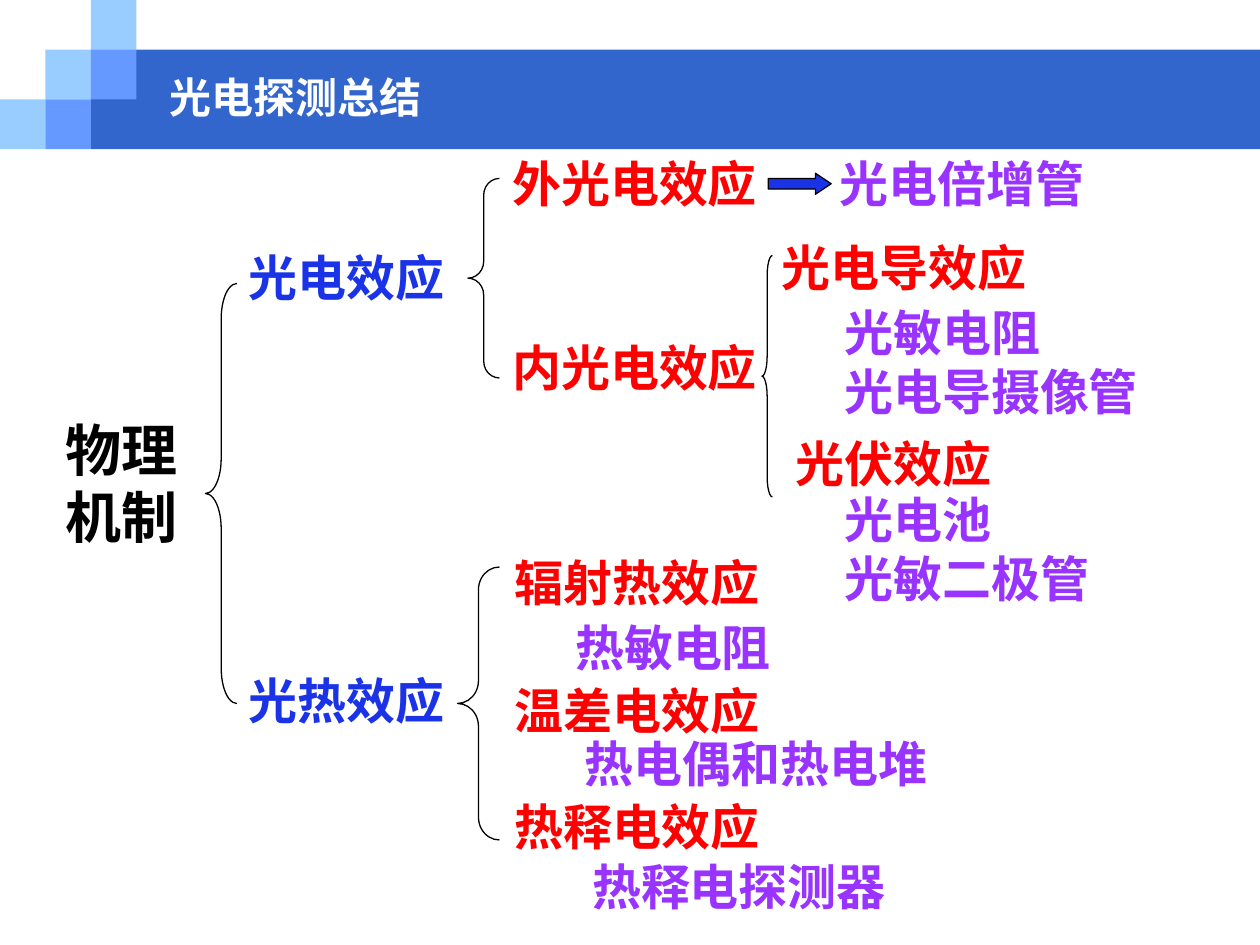
from pptx import Presentation
from pptx import util as u
from pptx.dml.color import RGBColor
from pptx.enum import shapes, text

WHITE, BLACK, BLUE, RED, PLUM = "FFFFFF", "000000", "1B33E7", "FF0000", "9933FF"
BAND, PALE, MID = "3366CC", "99CCFF", "6699FF"
KIND = shapes.MSO_SHAPE
LEFT, MIDST = text.PP_ALIGN.LEFT, text.PP_ALIGN.CENTER


def tint(code):
    return RGBColor.from_string(code)


class Board:
    """Holds the text style and the current slide, and draws each kind of element."""

    font = "Arial"
    size = 28
    inset = 14.4
    pen = 0.75

    def __init__(self, slide):
        self.slide = slide

    def shape(self, kind, x, y, w, h, fill=None, line=None, adj=()):
        item = self.slide.shapes.add_shape(kind, u.Pt(x), u.Pt(y), u.Pt(w), u.Pt(h))
        item.shadow.inherit = False
        for i, part in enumerate(adj):
            item.adjustments[i] = part
        if fill:
            item.fill.solid()
            item.fill.fore_color.rgb = tint(fill)
        else:
            item.fill.background()
        if line:
            item.line.color.rgb = tint(line)
            item.line.width = u.Pt(self.pen)
        else:
            item.line.fill.background()

    def brace(self, x, y, w, h, bend):
        self.shape(KIND.LEFT_BRACE, x, y, w, h, line=BLACK, adj=(bend, 0.5))

    def label(self, x, y, lines, color, size=None, align=MIDST):
        size = size or self.size
        wide = max(map(len, lines)) * size + self.inset
        high = len(lines) * size * 1.2 + 7.2
        box = self.slide.shapes.add_textbox(u.Pt(x), u.Pt(y), u.Pt(wide), u.Pt(high))
        frame = box.text_frame
        frame.word_wrap = False
        frame.auto_size = text.MSO_AUTO_SIZE.SHAPE_TO_FIT_TEXT
        for i, line in enumerate(lines):
            para = frame.add_paragraph() if i else frame.paragraphs[0]
            para.alignment = align
            self.run(para, line, color, size)

    def title(self, x, y, w, h, words):
        box = self.slide.shapes.add_textbox(u.Pt(x), u.Pt(y), u.Pt(w), u.Pt(h))
        frame = box.text_frame
        frame.word_wrap = True
        frame.vertical_anchor = text.MSO_ANCHOR.MIDDLE
        self.run(frame.paragraphs[0], words, WHITE, 24)

    def run(self, para, words, color, size):
        run = para.add_run()
        run.text = words
        run.font.name = self.font
        run.font.size = u.Pt(size)
        run.font.bold = True
        run.font.color.rgb = tint(color)


def main():
    deck = Presentation()
    deck.slide_width, deck.slide_height = u.Pt(720), u.Pt(540)
    board = Board(deck.slides.add_slide(deck.slide_layouts[6]))

    wide, high = 26, 28.4
    board.shape(KIND.RECTANGLE, 2 * wide, high, 720 - 2 * wide, 2 * high, BAND)
    tiles = [(0, 2, PALE), (1, 1, PALE), (2, 0, PALE), (2, 1, MID), (1, 2, MID)]
    for col, row, color in tiles:
        board.shape(KIND.RECTANGLE, col * wide, row * high, wide, high, color)
    board.title(90, 36, 582, 38, "光电探测总结")

    braces = [
        (117.4, 162, 18, 240, 1.11),
        (267.4, 102, 18, 114, 0.53),
        (435.4, 146, 6, 138, 1.92),
        (261.4, 324, 24, 156, 0.54),
    ]
    for spot in braces:
        board.brace(*spot)
    board.shape(KIND.RIGHT_ARROW, 439, 99, 36, 12, BLUE, BLACK, (0.5, 0.75))

    board.label(30.4, 234, ["物理", "机制"], BLACK, 32)
    labels = [
        (134.8, 138, "光电效应", BLUE),
        (134.8, 379.4, "光热效应", BLUE),
        (285.4, 84, "外光电效应", RED),
        (285.4, 189.4, "内光电效应", RED),
        (439.4, 132, "光电导效应", RED),
        (447.2, 244, "光伏效应", RED),
        (286.6, 312, "辐射热效应", RED),
        (286.6, 385.2, "温差电效应", RED),
        (286.6, 451.4, "热释电效应", RED),
        (472.4, 84, "光电倍增管", PLUM),
        (321.4, 349.2, "热敏电阻", PLUM),
        (326.8, 415.4, "热电偶和热电堆", PLUM),
        (331, 486, "热释电探测器", PLUM),
    ]
    for x, y, words, color in labels:
        board.label(x, y, [words], color)
    pairs = [(169.2, ["光敏电阻", "光电导摄像管"]), (276, ["光电池", "光敏二极管"])]
    for y, lines in pairs:
        board.label(475.4, y, lines, PLUM, align=LEFT)

    deck.save("out.pptx")


if __name__ == "__main__":
    main()
